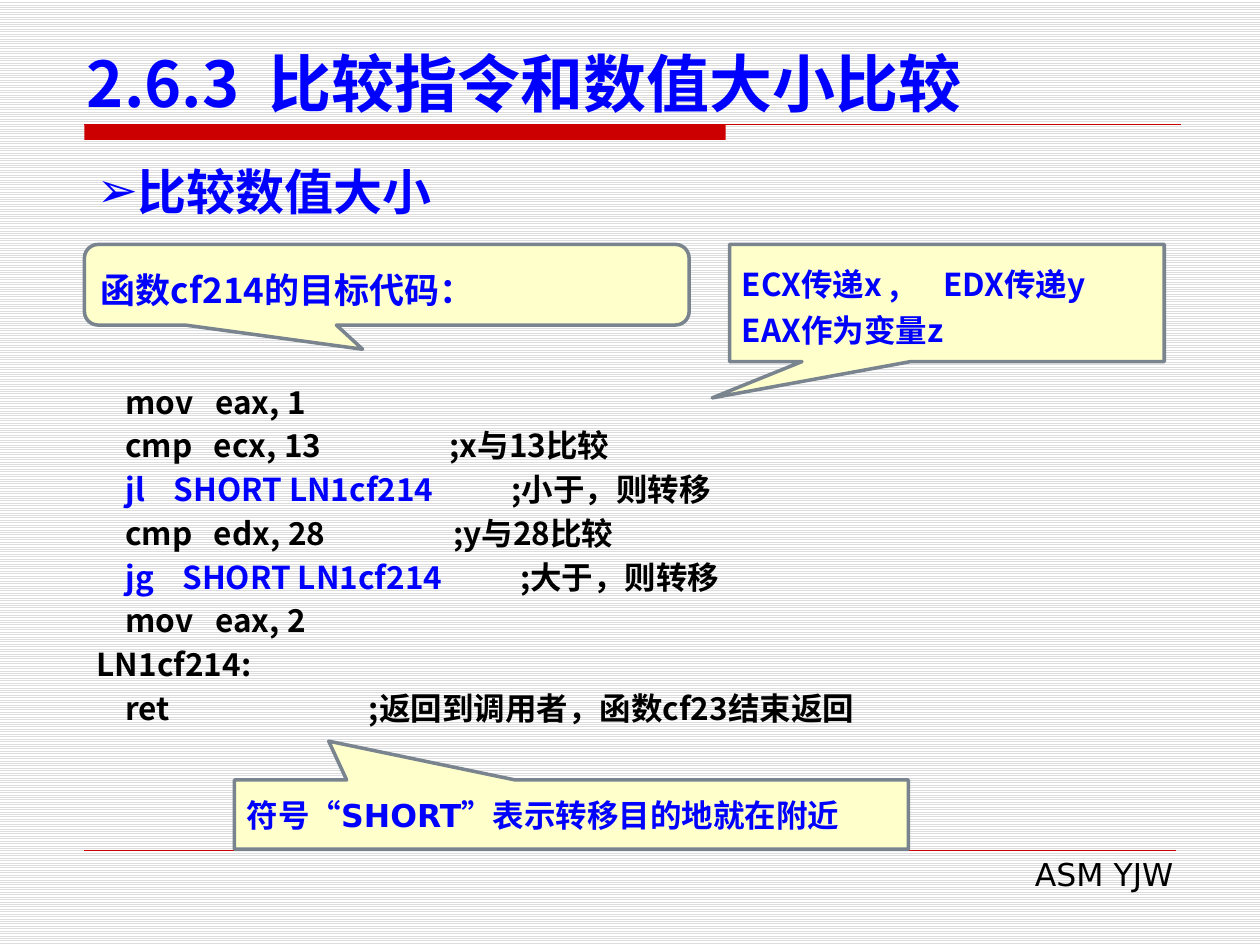
from dataclasses import dataclass

from lxml import etree
from pptx import Presentation
from pptx import util as u
from pptx.dml.color import RGBColor
from pptx.enum import dml, shapes, text
from pptx.oxml import ns


@dataclass(frozen=True)
class Theme:
    blue: str = "0000FF"
    black: str = "000000"
    red: str = "CC0000"
    cream: str = "FFFFCC"
    slate: str = "79848F"
    stripe: str = "DDDDDD"
    paper: str = "FFFFFF"
    latin: str = "DejaVu Sans"
    cjk: str = "Noto Sans CJK SC"
    title: int = 36
    heading: int = 28
    lead: int = 20
    body: int = 18


THEME = Theme()
LEFT = 0.67

# Each line: spans of (text, colour), then tab stops in inches.
CODE = [
    ([("    mov\teax, 1", THEME.black)], [0.94]),
    ([("    cmp\tecx, 13\t;x与13比较", THEME.black)], [0.93, 2.8]),
    ([("    jl\tSHORT LN1cf214\t", THEME.blue),
      (";小于，则转移", THEME.black)], [0.61, 3.29]),
    ([("    cmp\tedx, 28\t;y与28比较", THEME.black)], [0.93, 2.83]),
    ([("    jg\tSHORT LN1cf214\t", THEME.blue),
      (";大于，则转移", THEME.black)], [0.68, 3.36]),
    ([("    mov\teax, 2", THEME.black)], [0.94]),
    ([("LN1cf214:", THEME.black)], []),
    ([("    ret\t;返回到调用者，函数cf23结束返回", THEME.black)], [2.16]),
]


def apply(target, values):
    for name, value in values.items():
        setattr(target, name, value)


def inches(*lengths):
    return [u.Inches(length) for length in lengths]


def rgb(colour):
    return RGBColor.from_string(colour)


def add_child(parent, tag, **attributes):
    return etree.SubElement(parent, ns.qn(tag), attributes)


def add_span(para, words, size, colour=THEME.blue, latin=THEME.cjk, bold=True):
    span = para.add_run()
    span.text = words
    apply(span.font, {"size": u.Pt(size), "bold": bold, "name": latin})
    span.font.color.rgb = rgb(colour)
    add_child(span.font._element, "a:ea", typeface=THEME.cjk)


def add_tabs(para, stops):
    if stops:
        tabs = add_child(para._p.get_or_add_pPr(), "a:tabLst")
        for stop in stops:
            add_child(tabs, "a:tab", pos=str(u.Inches(stop)), algn="l")


def add_bullet(para, symbol, indent):
    properties = para._p.get_or_add_pPr()
    properties.set("marL", str(u.Inches(indent)))
    properties.set("indent", str(-u.Inches(indent)))
    add_child(properties, "a:buFont", typeface=THEME.latin)
    add_child(properties, "a:buChar", char=symbol)


def add_paragraphs(frame, count, **values):
    """Return count formatted paragraphs, starting with the frame's own one."""
    paras = [frame.paragraphs[0]]
    paras += [frame.add_paragraph() for _ in range(count - 1)]
    for para in paras:
        apply(para, {"alignment": text.PP_ALIGN.LEFT, **values})
    return paras


def add_text_box(page, *place):
    frame = page.shapes.add_textbox(*inches(*place)).text_frame
    frame.word_wrap = True
    return frame


def add_rule(page, start, end, y, width):
    rule = page.shapes.add_connector(
        shapes.MSO_CONNECTOR.STRAIGHT, *inches(start, y, end, y))
    rule.line.color.rgb = rgb(THEME.red)
    rule.line.width = u.Pt(width)
    add_child(rule._element.spPr, "a:effectLst")


def add_filled_shape(page, kind, place, fill, line=None):
    shape = page.shapes.add_shape(kind, *inches(*place))
    shape.shadow.inherit = False
    shape.fill.solid()
    shape.fill.fore_color.rgb = rgb(fill)
    if line:
        shape.line.color.rgb = rgb(line)
        shape.line.width = u.Pt(2)
    else:
        shape.line.fill.background()
    return shape


def add_callout(page, kind, place, tip, lines, size=THEME.body,
                latin=THEME.cjk, spacing=None, stops=()):
    callout = add_filled_shape(page, kind, place, THEME.cream, THEME.slate)
    for index, value in enumerate(tip):
        callout.adjustments[index] = value
    frame = callout.text_frame
    apply(frame, {"word_wrap": True,
                  "vertical_anchor": text.MSO_ANCHOR.MIDDLE})
    paras = add_paragraphs(frame, len(lines), line_spacing=spacing)
    for para, words in zip(paras, lines):
        add_tabs(para, stops)
        add_span(para, words, size, latin=latin)


def add_title(page, words):
    title = page.shapes.title
    apply(title, dict(zip(("left", "top", "width", "height"),
                          inches(0.59, 0.29, 9.06, 0.71))))
    apply(title.text_frame, {"vertical_anchor": text.MSO_ANCHOR.BOTTOM,
                             "auto_size": text.MSO_AUTO_SIZE.NONE,
                             "word_wrap": True})
    para, = add_paragraphs(title.text_frame, 1)
    add_span(para, words, THEME.title)


def add_heading(page, words):
    frame = add_text_box(page, LEFT, 1.23, 8.66, 0.57)
    para, = add_paragraphs(frame, 1)
    add_bullet(para, "➢", 0.32)
    add_span(para, words, THEME.heading, latin=THEME.latin)


def add_code(page):
    frame = add_text_box(page, LEFT, 2.94, 8.74, 2.86)
    paras = add_paragraphs(frame, len(CODE), line_spacing=u.Pt(25))
    for para, (spans, stops) in zip(paras, CODE):
        add_tabs(para, stops)
        for words, colour in spans:
            add_span(para, words, THEME.body, colour)


def add_footer(page, words):
    frame = add_text_box(page, 3.82, 6.74, 5.59, 0.4)
    para, = add_paragraphs(frame, 1, alignment=text.PP_ALIGN.RIGHT)
    add_span(para, words, THEME.body, THEME.black, THEME.latin, bold=False)


def add_background(page):
    fill = page.background.fill
    fill.patterned()
    fill.pattern = dml.MSO_PATTERN.LIGHT_HORIZONTAL
    fill.fore_color.rgb = rgb(THEME.stripe)
    fill.back_color.rgb = rgb(THEME.paper)


def main():
    deck = Presentation()
    deck.slide_width, deck.slide_height = inches(10, 7.5)
    page = deck.slides.add_slide(deck.slide_layouts[5])
    kinds = shapes.MSO_SHAPE

    add_background(page)
    add_filled_shape(page, kinds.RECTANGLE, (LEFT, 0.99, 5.09, 0.12), THEME.red)
    add_rule(page, LEFT, 9.37, 0.99, 0.75)
    add_rule(page, LEFT, 9.33, 6.75, 0.25)
    add_footer(page, "ASM YJW")
    add_title(page, "2.6.3  比较指令和数值大小比较")
    add_heading(page, "比较数值大小")
    add_code(page)
    add_callout(page, kinds.RECTANGULAR_CALLOUT, (1.86, 6.19, 5.35, 0.55),
                (-0.36, -1.06), ["符号“SHORT”表示转移目的地就在附近"],
                latin=THEME.latin)
    add_callout(page, kinds.RECTANGULAR_CALLOUT, (5.79, 1.94, 3.45, 0.93),
                (-0.54, 0.81), ["ECX传递x ,\tEDX传递y", "EAX作为变量z"],
                spacing=u.Pt(26), stops=[1.6])
    add_callout(page, kinds.ROUNDED_RECTANGULAR_CALLOUT,
                (LEFT, 1.94, 4.8, 0.64), (-0.04, 0.8, 0.17),
                ["函数cf214的目标代码："], THEME.lead, spacing=u.Pt(30))
    deck.save("out.pptx")


if __name__ == "__main__":
    main()
